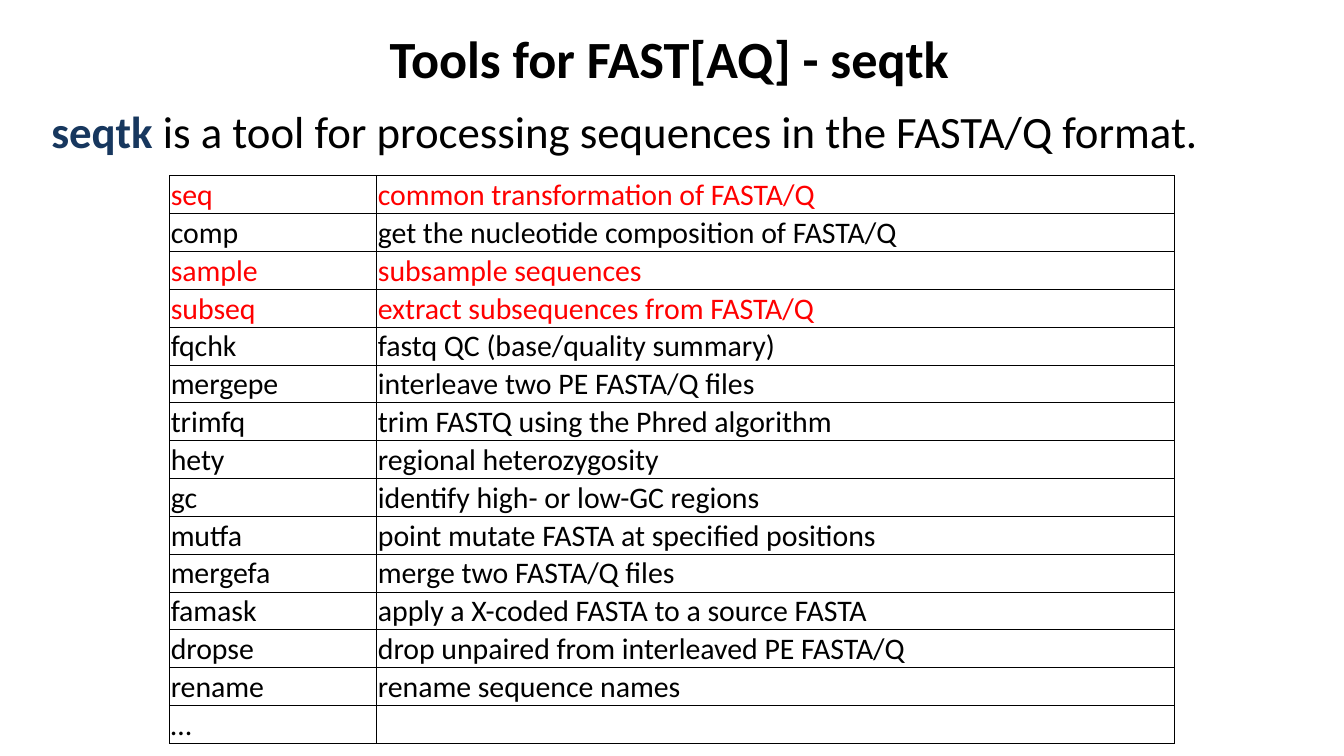
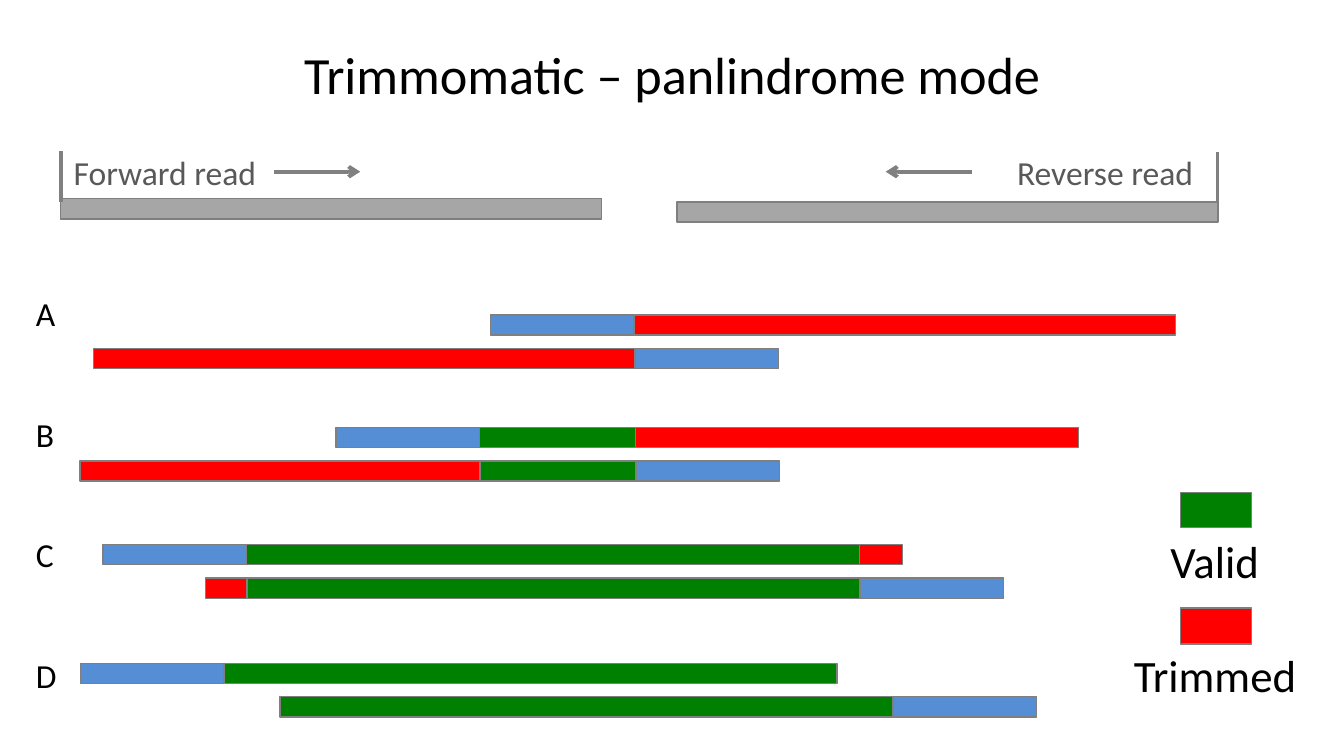
from lxml import etree
from pptx import Presentation
from pptx.dml.color import RGBColor
from pptx.enum.shapes import MSO_CONNECTOR, MSO_SHAPE
from pptx.enum.text import MSO_ANCHOR, MSO_AUTO_SIZE, PP_ALIGN
from pptx.oxml.ns import qn
from pptx.util import Pt

RECTANGLE = MSO_SHAPE.RECTANGLE
STRAIGHT = MSO_CONNECTOR.STRAIGHT
MIDDLE, BOTTOM = MSO_ANCHOR.MIDDLE, MSO_ANCHOR.BOTTOM
CENTER = PP_ALIGN.CENTER
NO_FIT, GROW = MSO_AUTO_SIZE.NONE, MSO_AUTO_SIZE.SHAPE_TO_FIT_TEXT

FONT = "Calibri"
COLORS = {
    "text": "000000",
    "tool": "17375E",
    "highlight": "FF0000",
    "read": "A6A6A6",
    "read_label": "595959",
    "outline": "7F7F7F",
    "marker": "808080",
    "adapter": "558ED5",
    "valid": "008000",
    "trimmed": "FF0000",
}
TITLE_ONLY, TITLE_AND_BODY = 5, 1
BAR_HEIGHT = 10.8
ADAPTER = ("adapter", 77)

COMMANDS = [
    ("seq", "common transformation of FASTA/Q"),
    ("comp", "get the nucleotide composition of FASTA/Q"),
    ("sample", "subsample sequences"),
    ("subseq", "extract subsequences from FASTA/Q"),
    ("fqchk", "fastq QC (base/quality summary)"),
    ("mergepe", "interleave two PE FASTA/Q files"),
    ("trimfq", "trim FASTQ using the Phred algorithm"),
    ("hety", "regional heterozygosity"),
    ("gc", "identify high- or low-GC regions"),
    ("mutfa", "point mutate FASTA at specified positions"),
    ("mergefa", "merge two FASTA/Q files"),
    ("famask", "apply a X-coded FASTA to a source FASTA"),
    ("dropse", "drop unpaired from interleaved PE FASTA/Q"),
    ("rename", "rename sequence names"),
    ("…", ""),
]
KEY_COMMANDS = {"seq", "sample", "subseq"}

# Case: (top, upper strand, lower strand); strand: (left, segments)
CASES = {
    "A": (168.7,
          (262.8, [ADAPTER, ("trimmed", 290)]),
          (50.2, [("trimmed", 290), ADAPTER])),
    "B": (229,
          (180, [ADAPTER, ("valid", 83.5), ("trimmed", 237.5)]),
          (42.8, [("trimmed", 214.4), ("valid", 83.5), ADAPTER])),
    "C": (291.8,
          (55.2, [ADAPTER, ("valid", 328.4), ("trimmed", 22.8)]),
          (110, [("trimmed", 22.4), ("valid", 328.4), ADAPTER])),
    "D": (355.4,
          (43, [ADAPTER, ("valid", 328.4)]),
          (150, [("valid", 328.4), ADAPTER])),
}
STRAND_STEP = 17.9


def rgb(name):
    return RGBColor.from_string(COLORS[name])


class Deck:
    def __init__(self):
        self.prs = Presentation()
        self.prs.slide_width, self.prs.slide_height = Pt(720), Pt(405)
        self.slide = None

    def new_slide(self, layout):
        self.slide = self.prs.slides.add_slide(self.prs.slide_layouts[layout])

    def run(self, paragraph, text, size, color="text", bold=False):
        run = paragraph.add_run()
        run.text = text
        font = run.font
        font.name, font.size, font.bold = FONT, Pt(size), bold
        font.color.rgb = rgb(color)

    def place(self, placeholder, left, top, width, height):
        placeholder.left, placeholder.top = Pt(left), Pt(top)
        placeholder.width, placeholder.height = Pt(width), Pt(height)
        frame = placeholder.text_frame
        frame.auto_size = NO_FIT
        return frame

    def title(self, text, left, top, width, height, bold=False):
        frame = self.place(self.slide.shapes.title, left, top, width, height)
        frame.vertical_anchor = MIDDLE
        heading = frame.paragraphs[0]
        heading.alignment = CENTER
        self.run(heading, text, 28, bold=bold)

    def body(self, left, top, width, height):
        """Place the body without a bullet and return its paragraph."""
        frame = self.place(self.slide.placeholders[1], left, top, width, height)
        sentence = frame.paragraphs[0]
        properties = sentence._p.get_or_add_pPr()
        properties.set("marL", "0")
        properties.set("indent", "0")
        etree.SubElement(properties, qn("a:buNone"))
        sentence.space_before = Pt(0)
        return sentence

    def label(self, lines, left, top, width, height, size=18, color="text", gap=0):
        box = self.slide.shapes.add_textbox(Pt(left), Pt(top), Pt(width), Pt(height))
        frame = box.text_frame
        frame.word_wrap = False
        frame.auto_size = GROW
        for i, line in enumerate(lines):
            paragraph = frame.add_paragraph() if i else frame.paragraphs[0]
            if i:
                paragraph.space_before = Pt(gap)
            self.run(paragraph, line, size, color)

    def bar(self, kind, left, top, width, height=BAR_HEIGHT):
        bar = self.slide.shapes.add_shape(
            RECTANGLE, Pt(left), Pt(top), Pt(width), Pt(height))
        bar.shadow.inherit = False
        bar.fill.solid()
        bar.fill.fore_color.rgb = rgb(kind)
        bar.line.color.rgb = rgb("outline")
        bar.line.width = Pt(0.75)

    def strand(self, left, top, segments):
        for kind, width in segments:
            self.bar(kind, left, top, width)
            left += width

    def line(self, x1, y1, x2, y2, arrow=False):
        line = self.slide.shapes.add_connector(STRAIGHT, Pt(x1), Pt(y1), Pt(x2), Pt(y2))
        line.line.color.rgb = rgb("marker")
        line.line.width = Pt(2)
        properties = line._element.spPr
        if arrow:
            etree.SubElement(properties.find(qn("a:ln")), qn("a:tailEnd"), type="arrow")
        etree.SubElement(properties, qn("a:effectLst"))

    def borders(self, cell):
        properties = cell._tc.get_or_add_tcPr()
        for side in ("lnL", "lnR", "lnT", "lnB"):
            edge = etree.SubElement(properties, qn(f"a:{side}"), w=str(Pt(0.5)))
            fill = etree.SubElement(edge, qn("a:solidFill"))
            etree.SubElement(fill, qn("a:srgbClr"), val=COLORS["text"])

    def table(self, rows, left, top, widths, row_height, highlighted):
        table = self.slide.shapes.add_table(
            len(rows), len(widths), Pt(left), Pt(top),
            Pt(sum(widths)), Pt(row_height * len(rows))).table
        table.first_row = table.horz_banding = False
        for column, width in zip(table.columns, widths):
            column.width = Pt(width)
        for r, row in enumerate(rows):
            table.rows[r].height = Pt(row_height)
            color = "highlight" if row[0] in highlighted else "text"
            for c, text in enumerate(row):
                cell = table.cell(r, c)
                self.borders(cell)
                cell.fill.background()
                cell.margin_left = cell.margin_right = cell.margin_top = Pt(0.7)
                cell.margin_bottom = Pt(0)
                cell.vertical_anchor = BOTTOM
                paragraph = cell.text_frame.paragraphs[0]
                if text:
                    self.run(paragraph, text, 16, color)
                else:
                    etree.SubElement(paragraph._p, qn("a:endParaRPr"), sz="1600")


def seqtk_slide(deck):
    deck.new_slide(TITLE_AND_BODY)
    deck.title("Tools for FAST[AQ] - seqtk", 34.5, 0, 648, 61.5, bold=True)
    summary = deck.body(20.3, 52, 680, 42)
    deck.run(summary, "seqtk", 24, "tool", bold=True)
    deck.run(summary, " is a tool for processing sequences in the FASTA/Q format.", 24)
    deck.table(COMMANDS, 90.8, 94.2, (111, 427.4), 20.2, KEY_COMMANDS)


def palindrome_slide(deck):
    deck.new_slide(TITLE_ONLY)
    deck.title("Trimmomatic – panlindrome mode", 36, 16.7, 648, 45)

    deck.bar("read", 32.4, 106.5, 290)
    deck.label(["Forward read"], 32.4, 78, 117, 29, color="read_label")
    deck.line(32.7, 81, 32.7, 108)
    deck.line(147, 92, 193, 92, arrow=True)

    deck.bar("read", 362.6, 108.2, 290)
    deck.label(["Reverse read"], 537.8, 78, 111, 29, color="read_label")
    deck.line(652.3, 81.5, 652.3, 109)
    deck.line(520.5, 92, 474.5, 92, arrow=True)

    for top, *strands in CASES.values():
        for i, (left, segments) in enumerate(strands):
            deck.strand(left, top + i * STRAND_STEP, segments)
    deck.label(CASES, 12.2, 153.4, 26, 225, gap=43)

    deck.bar("valid", 632.3, 264, 38.2, 18.5)
    deck.label(["Valid"], 620, 282.3, 62.6, 36, size=24)
    deck.bar("trimmed", 632.3, 325.7, 38.2, 19.3)
    deck.label(["Trimmed"], 600.3, 343.5, 102.3, 36, size=24)


def main():
    deck = Deck()
    seqtk_slide(deck)
    palindrome_slide(deck)
    deck.prs.save("out.pptx")


if __name__ == "__main__":
    main()
